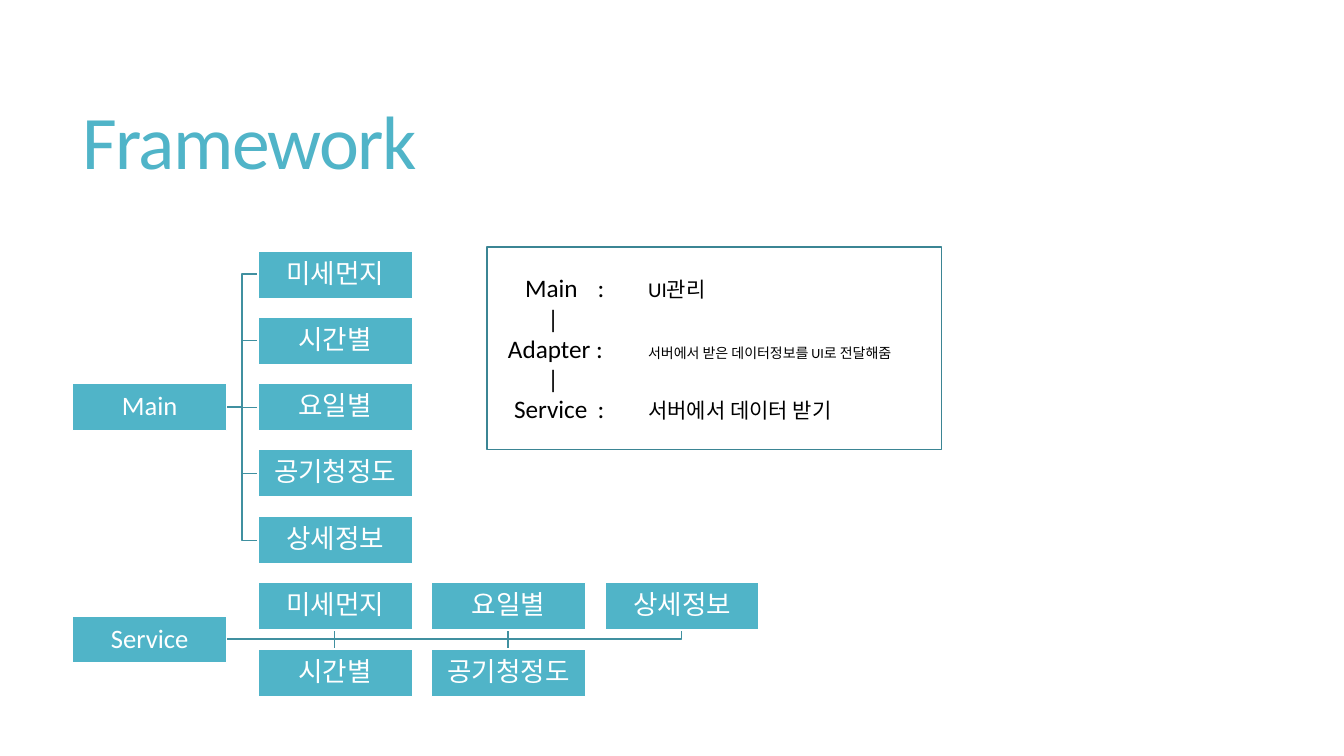
from lxml import etree
from pptx import Presentation
from pptx.dml.color import RGBColor
from pptx.enum.shapes import MSO_CONNECTOR, MSO_SHAPE
from pptx.enum.text import MSO_ANCHOR, PP_ALIGN
from pptx.oxml.ns import qn
from pptx.util import Pt

RECT = MSO_SHAPE.RECTANGLE
LINE = MSO_CONNECTOR.STRAIGHT
MIDDLE = MSO_ANCHOR.MIDDLE
LEFT, CENTER, JUSTIFY = PP_ALIGN.LEFT, PP_ALIGN.CENTER, PP_ALIGN.JUSTIFY

PX = 9144
FONT = "Calibri"
COLORS = {
    "teal": "50B4C8",
    "link": "4090A0",
    "frame": "3B8594",
    "white": "FFFFFF",
    "black": "000000",
}
NODE_W, NODE_H = 153, 47
INDENT, STEP = 184, 172
TABS = (50, 100, 150)

MAIN = ["미세먼지", "시간별", "요일별", "공기청정도", "상세정보"]
SERVICE = MAIN
LEGEND = [
    (28, "Main\t:\t", "UI관리", 15),
    (0, "\t|", "", 18),
    (11, "Adapter :\t", "서버에서 받은 데이터정보를 UI로 전달해줌", 10),
    (0, "\t|", "", 18),
    (17, "Service\t:\t", "서버에서 데이터 받기", 15),
]


def emu(*px):
    return [round(n * PX) for n in px]


def color(name):
    return RGBColor.from_string(COLORS[name])


def stroke(shape, name):
    shape.line.color.rgb = color(name)
    shape.line.width = Pt(1)


def write(para, text, size=18, ink="black", align=LEFT, lead=1.0, track=0):
    para.alignment = align
    para.line_spacing = lead
    run = para.add_run()
    run.text = text
    run.font.name = FONT
    run.font.size = Pt(size)
    run.font.color.rgb = color(ink)
    if track:
        run.font._element.set("spc", str(track))


def set_frame(shape, pad_x, pad_y):
    frame = shape.text_frame
    frame.word_wrap = True
    frame.vertical_anchor = MIDDLE
    frame.margin_left, frame.margin_right = emu(pad_x, pad_x)
    frame.margin_top, frame.margin_bottom = emu(pad_y, pad_y)
    return frame


def add_box(slide, x, y, w, h, edge, fill=None):
    box = slide.shapes.add_shape(RECT, *emu(x, y, w, h))
    box.shadow.inherit = False
    stroke(box, edge)
    if fill:
        box.fill.solid()
        box.fill.fore_color.rgb = color(fill)
    else:
        box.fill.background()
    return box


def add_node(slide, x, y, text):
    box = add_box(slide, x, y, NODE_W, NODE_H, "white", "teal")
    frame = set_frame(box, 1, 1)
    write(frame.paragraphs[0], text, size=19, ink="white", align=CENTER, lead=0.9)


def add_link(slide, points):
    start, end = points[0], points[-1]
    if start[1] == end[1]:
        link = slide.shapes.add_connector(LINE, *emu(*start, *end))
        etree.SubElement(link._element.spPr, qn("a:effectLst"))
    else:
        path = slide.shapes.build_freeform(*start, scale=PX)
        path.add_line_segments(points[1:], close=False)
        link = path.convert_to_shape()
        link.shadow.inherit = False
        link.fill.background()
    stroke(link, "link")


def add_title(slide, x, y, w, h):
    box = slide.shapes.add_textbox(*emu(x, y, w, h))
    frame = set_frame(box, 10, 5)
    write(frame.paragraphs[0], "Framework", size=54, ink="teal", lead=0.85, track=-120)


def add_tree(slide, x, y, h, root, names):
    left, mid = x + INDENT, round(y + h / 2)
    start, trunk = x + NODE_W, (x + NODE_W + left) // 2
    gap = (h - NODE_H) / (len(names) - 1)
    tops = [round(y + i * gap) for i in range(len(names))]
    for top in tops:
        row = round(top + NODE_H / 2)
        if abs(row - mid) < 2:
            points = [(start, mid), (left, mid)]
        else:
            points = [(start, mid), (trunk, mid), (trunk, row), (left, row)]
        add_link(slide, points)
    add_node(slide, x, round(y + (h - NODE_H) / 2), root)
    for top, name in zip(tops, names):
        add_node(slide, left, top, name)


def add_hang(slide, x, y, h, root, names):
    left, mid = x + INDENT, round(y + h / 2)
    low = y + h - NODE_H
    spots = [(left + i // 2 * STEP, low if i % 2 else y) for i in range(len(names))]
    for col, top in reversed(spots):
        stem = round(col + NODE_W / 2)
        edge = y + NODE_H if top == y else low
        add_link(slide, [(x + NODE_W, mid), (stem, mid), (stem, edge)])
    add_node(slide, x, round(y + (h - NODE_H) / 2), root)
    for (col, top), name in zip(spots, names):
        add_node(slide, col, top, name)


def add_legend(slide, x, y, w, h):
    frame = set_frame(add_box(slide, x, y, w, h, "frame"), 10, 5)
    for i, (shift, label, note, size) in enumerate(LEGEND):
        para = frame.add_paragraph() if i else frame.paragraphs[0]
        write(para, label, align=JUSTIFY)
        if note:
            write(para, note, size=size, align=JUSTIFY)
        props = para._p.get_or_add_pPr()
        props.set("marL", "0")
        props.set("indent", str(shift * PX))
        stops = etree.SubElement(props, qn("a:tabLst"))
        for tab in TABS:
            etree.SubElement(stops, qn("a:tab"), pos=str(tab * PX), algn="l")


def main():
    deck = Presentation()
    deck.slide_width, deck.slide_height = emu(1333, 750)
    slide = deck.slides.add_slide(deck.slide_layouts[6])
    add_title(slide, 72, 55, 1178, 181)
    add_tree(slide, 72, 249, 310, "Main", MAIN)
    add_hang(slide, 72, 578, 113, "Service", SERVICE)
    add_legend(slide, 483, 245, 451, 201)
    deck.save("out.pptx")


if __name__ == "__main__":
    main()
